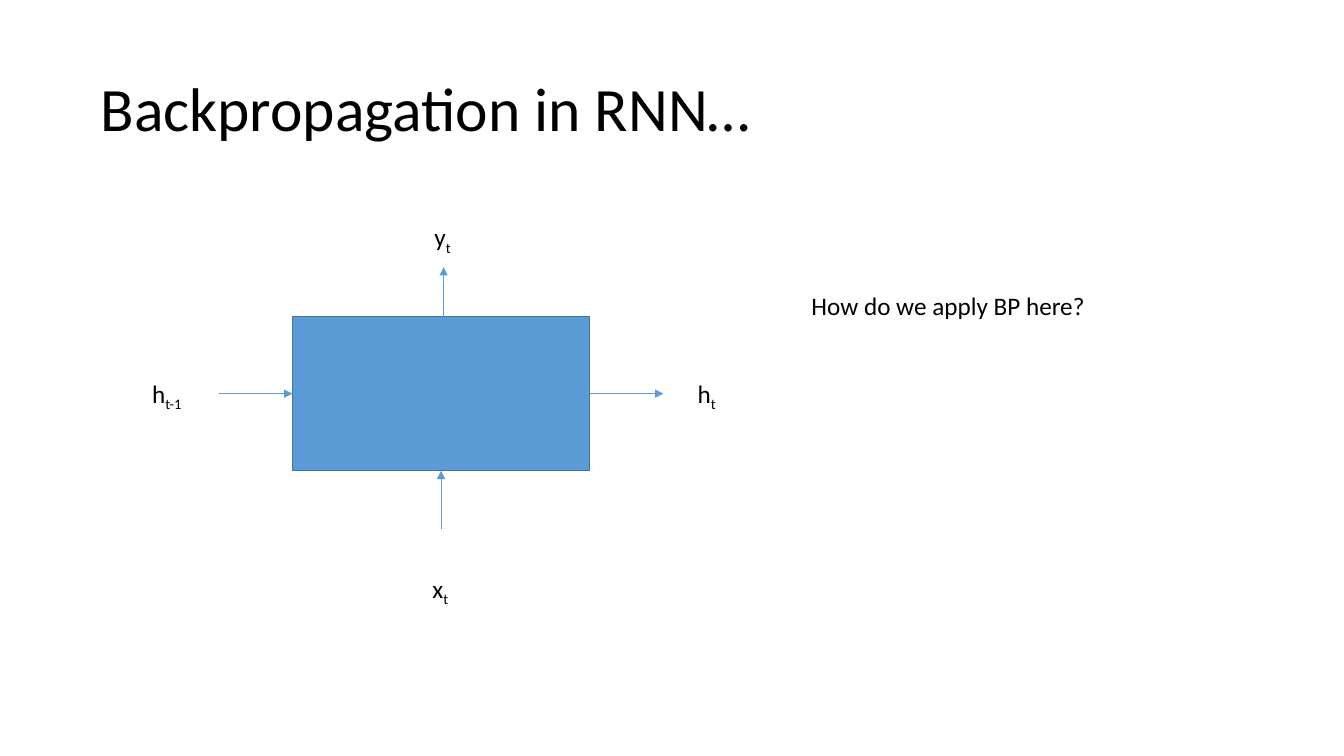
from dataclasses import dataclass
from typing import Optional

from pptx import Presentation
from pptx.dml.color import RGBColor
from pptx.enum.shapes import MSO_CONNECTOR, MSO_SHAPE
from pptx.enum.text import MSO_ANCHOR, MSO_AUTO_SIZE
from pptx.oxml.ns import qn
from pptx.shapes.autoshape import Shape
from pptx.slide import Slide
from pptx.util import Inches, Pt
from lxml.etree import SubElement


@dataclass(frozen=True)
class Theme:
    """Colours, font and type sizes of the slide."""
    font: str = "Calibri"
    text: RGBColor = RGBColor(0x00, 0x00, 0x00)
    accent: RGBColor = RGBColor(0x5B, 0x9B, 0xD5)
    outline: RGBColor = RGBColor(0x43, 0x73, 0x9E)
    title_size: int = 44
    body_size: int = 18
    outline_width: float = 1
    arrow_width: float = 0.5


@dataclass(frozen=True)
class Box:
    """A rectangle in inches."""
    left: float
    top: float
    width: float
    height: float

    @property
    def center_x(self) -> float:
        """Return the horizontal middle."""
        return self.left + self.width / 2

    @property
    def center_y(self) -> float:
        """Return the vertical middle."""
        return self.top + self.height / 2

    @property
    def right(self) -> float:
        """Return the right edge."""
        return self.left + self.width

    @property
    def bottom(self) -> float:
        """Return the bottom edge."""
        return self.top + self.height


@dataclass(frozen=True)
class Label:
    """A one-line text with an optional subscript."""
    text: str
    box: Box
    subscript: str = ""


@dataclass(frozen=True)
class Arrow:
    """An arrow and the sides of the cell that it joins."""
    start: tuple[float, float]
    end: tuple[float, float]
    start_side: Optional[int] = None
    end_side: Optional[int] = None


THEME = Theme()
TOP, LEFT, BOTTOM, RIGHT = range(4)
TITLE = Label("Backpropagation in RNN…", Box(0.9, 0.38, 11.5, 1.45))
CELL = Box(2.9, 3.14, 2.95, 1.53)
ARROW_LENGTH = 0.73
ARROWS = (
    Arrow((CELL.center_x, 5.25), (CELL.center_x, CELL.bottom), end_side=BOTTOM),
    Arrow((4.4, 3.24), (4.4, 2.65)),
    Arrow((CELL.left - ARROW_LENGTH, CELL.center_y), (CELL.left, CELL.center_y), end_side=LEFT),
    Arrow((CELL.right, CELL.center_y), (CELL.right + ARROW_LENGTH, CELL.center_y), start_side=RIGHT),
)
LABELS = (
    Label("x", Box(4.19, 5.64, 0.37, 0.4), "t"),
    Label("y", Box(4.21, 2.15, 0.39, 0.4), "t"),
    Label("h", Box(1.41, 3.7, 0.53, 0.4), "t-1"),
    Label("h", Box(6.82, 3.7, 0.39, 0.4), "t"),
    Label("How do we apply BP here?", Box(7.95, 2.83, 2.95, 0.4)),
)


def inches(box: Box) -> tuple[Inches, ...]:
    """Convert a box to slide lengths."""
    return tuple(Inches(value) for value in (box.left, box.top, box.width, box.height))


def add_text(slide: Slide, label: Label, size: int) -> Shape:
    """Add a text box with its subscript."""
    shape = slide.shapes.add_textbox(*inches(label.box))
    paragraph = shape.text_frame.paragraphs[0]
    paragraph.text = label.text
    if label.subscript:
        run = paragraph.add_run()
        run.text = label.subscript
        run.font._element.set("baseline", "-25000")
    for run in paragraph.runs:
        run.font.name = THEME.font
        run.font.size = Pt(size)
        run.font.color.rgb = THEME.text
    return shape


def add_title(slide: Slide) -> None:
    """Add the slide title."""
    text_frame = add_text(slide, TITLE, THEME.title_size).text_frame
    text_frame.word_wrap = True
    text_frame.vertical_anchor = MSO_ANCHOR.MIDDLE
    text_frame.paragraphs[0].line_spacing = 0.9


def add_label(slide: Slide, label: Label) -> None:
    """Add a label that fits its text."""
    text_frame = add_text(slide, label, THEME.body_size).text_frame
    text_frame.word_wrap = False
    text_frame.auto_size = MSO_AUTO_SIZE.SHAPE_TO_FIT_TEXT


def add_cell(slide: Slide) -> Shape:
    """Add the recurrent cell."""
    shape = slide.shapes.add_shape(MSO_SHAPE.RECTANGLE, *inches(CELL))
    shape.shadow.inherit = False
    shape.fill.solid()
    shape.fill.fore_color.rgb = THEME.accent
    shape.line.color.rgb = THEME.outline
    shape.line.width = Pt(THEME.outline_width)
    return shape


def add_arrow(slide: Slide, arrow: Arrow, cell: Shape) -> None:
    """Add an arrow and join it to the cell."""
    points = (Inches(value) for value in arrow.start + arrow.end)
    connector = slide.shapes.add_connector(MSO_CONNECTOR.STRAIGHT, *points)
    if arrow.start_side is not None:
        connector.begin_connect(cell, arrow.start_side)
    if arrow.end_side is not None:
        connector.end_connect(cell, arrow.end_side)
    connector.line.color.rgb = THEME.accent
    connector.line.width = Pt(THEME.arrow_width)
    SubElement(connector.line._get_or_add_ln(), qn("a:tailEnd"), type="triangle")
    SubElement(connector._element.spPr, qn("a:effectLst"))


def main() -> None:
    """Build and save the presentation."""
    presentation = Presentation()
    presentation.slide_width = Inches(13.33)
    presentation.slide_height = Inches(7.5)
    slide = presentation.slides.add_slide(presentation.slide_layouts[6])
    add_title(slide)
    cell = add_cell(slide)
    for arrow in ARROWS:
        add_arrow(slide, arrow, cell)
    for label in LABELS:
        add_label(slide, label)
    presentation.save("out.pptx")


if __name__ == "__main__":
    main()
